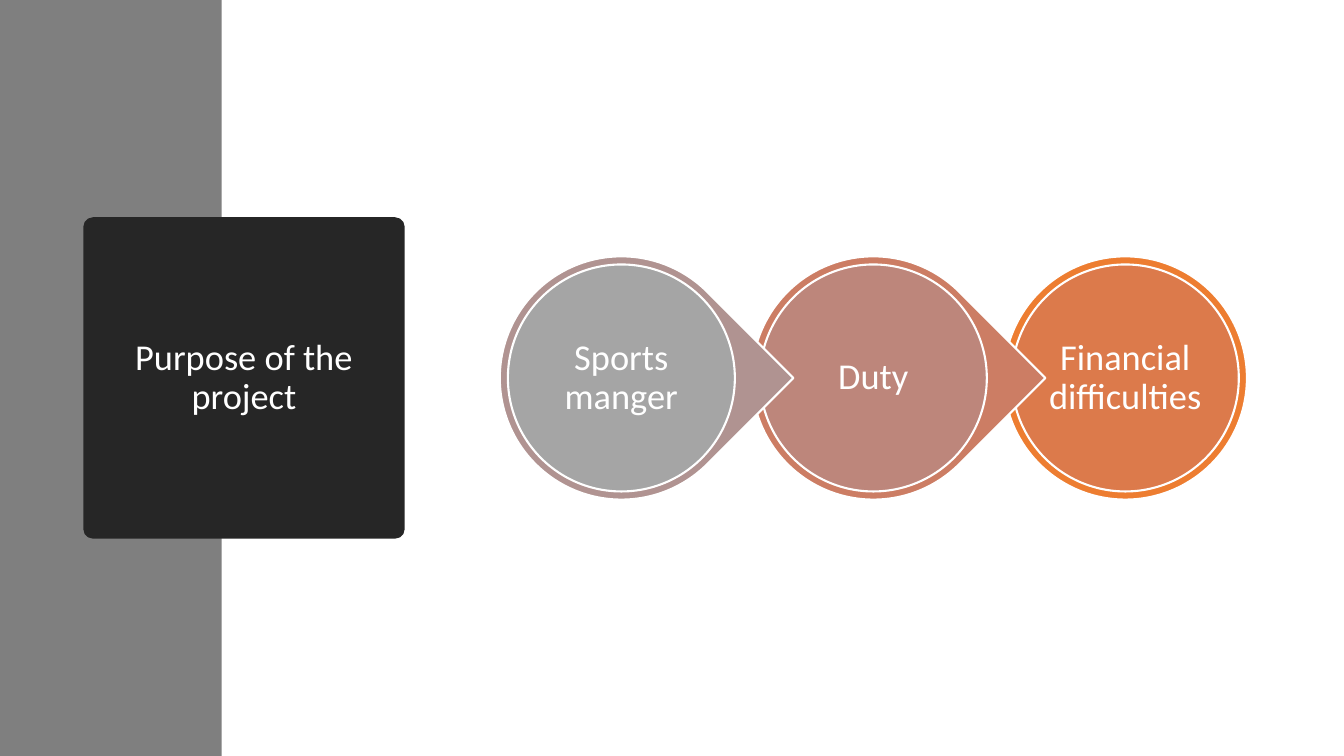
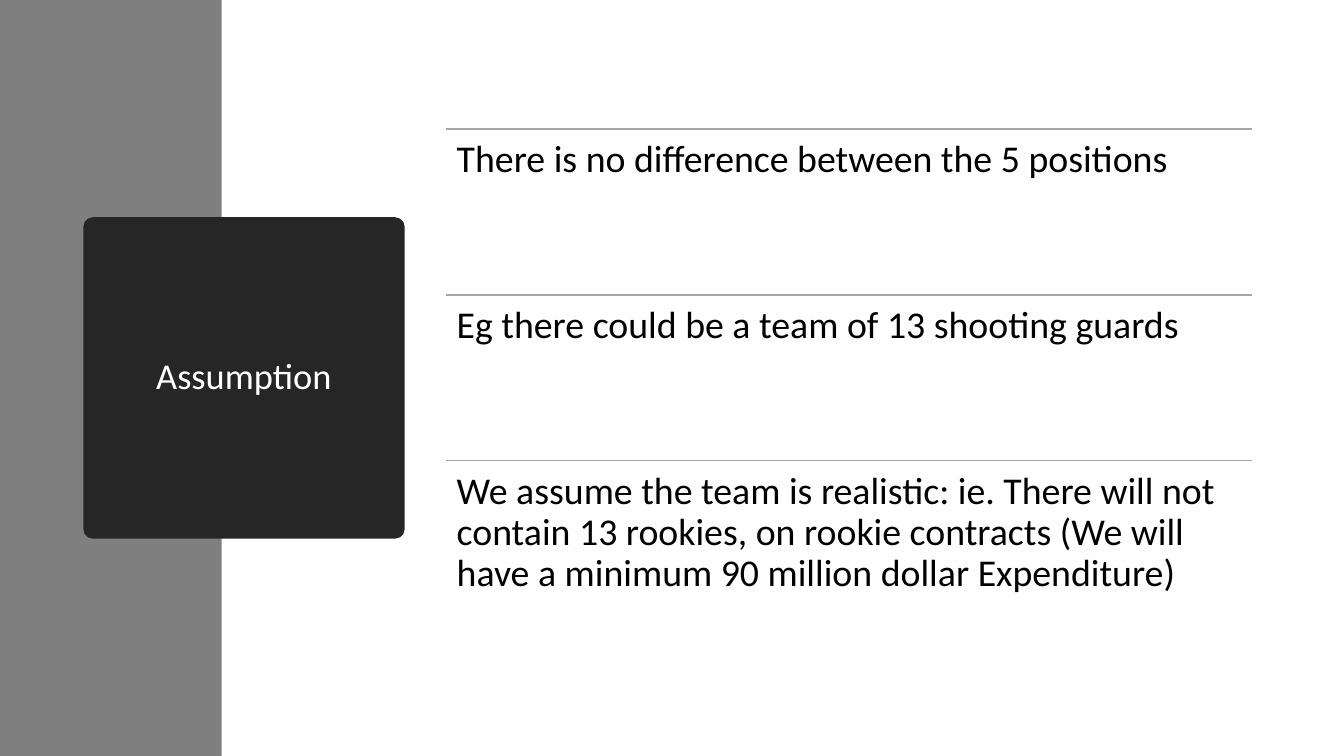
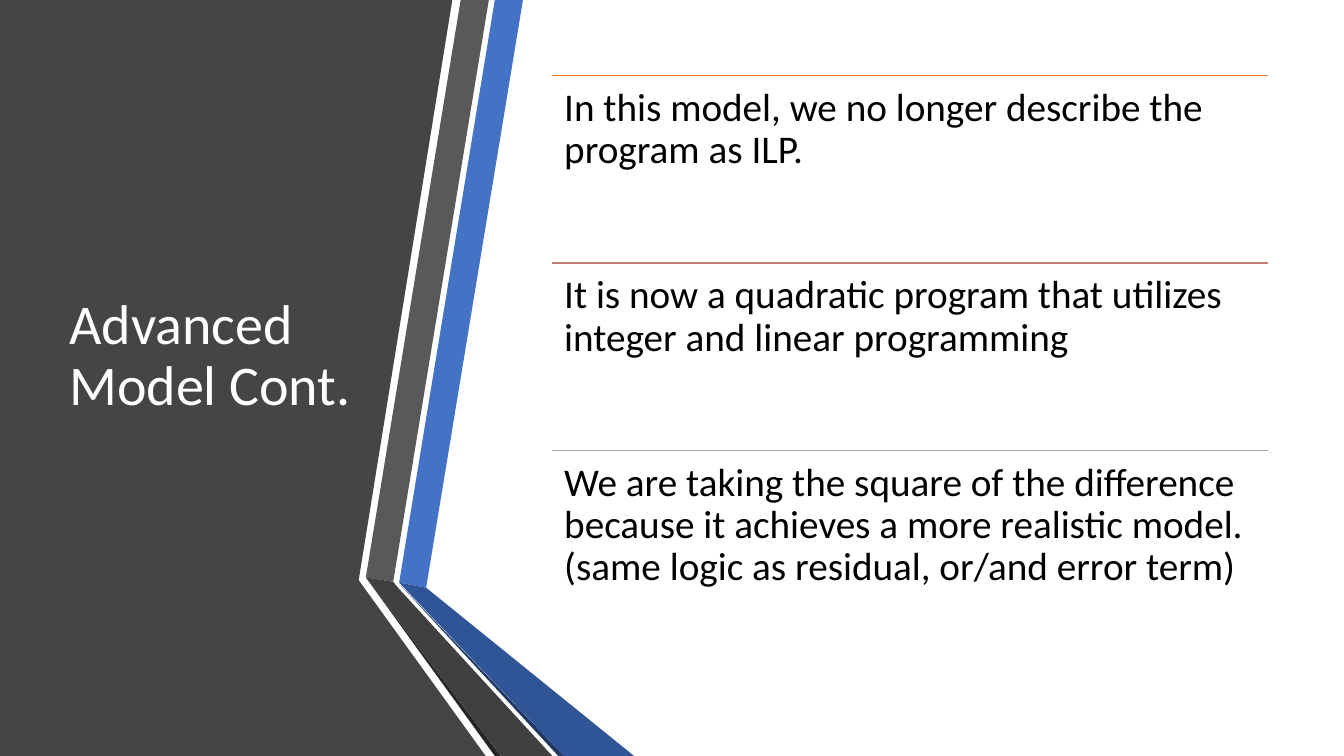
from lxml.etree import SubElement
from pptx import Presentation
from pptx.dml.color import RGBColor
from pptx.enum.shapes import MSO_CONNECTOR, MSO_SHAPE
from pptx.enum.text import MSO_ANCHOR, PP_ALIGN
from pptx.oxml.ns import qn
from pptx.util import Cm, Pt

WHITE = RGBColor(0xFF, 0xFF, 0xFF)
BLACK = RGBColor(0x00, 0x00, 0x00)
BAND_GRAY = RGBColor(0x7F, 0x7F, 0x7F)
TITLE_DARK = RGBColor(0x26, 0x26, 0x26)
SILVER = RGBColor(0xA5, 0xA5, 0xA5)
ORANGE = RGBColor(0xED, 0x7D, 0x31)
BURNT_ORANGE = RGBColor(0xDC, 0x7A, 0x4B)
TERRACOTTA = RGBColor(0xCC, 0x7D, 0x64)
ROSE = RGBColor(0xBD, 0x86, 0x7B)
MAUVE = RGBColor(0xB0, 0x93, 0x91)
CLAY = RGBColor(0xC4, 0x81, 0x70)
PANEL_GRAY = RGBColor(0x45, 0x45, 0x45)
STRIPE_GRAY = RGBColor(0x59, 0x59, 0x59)
CHARCOAL = RGBColor(0x40, 0x40, 0x40)
BLUE = RGBColor(0x44, 0x72, 0xC4)
DARK_BLUE = RGBColor(0x2F, 0x55, 0x97)
NAVY = RGBColor(0x20, 0x38, 0x64)

FONT = "Calibri"
WIDTH, HEIGHT = 33.87, 19.05


def paint(shape, fill, outline=None):
    """Give a shape a flat fill and an optional outline."""
    shape.shadow.inherit = False
    shape.fill.solid()
    shape.fill.fore_color.rgb = fill
    if outline is None:
        shape.line.fill.background()
    else:
        shape.line.color.rgb = outline
        shape.line.width = Pt(1.5)


def write(box, text, size=26, color=WHITE, align=PP_ALIGN.CENTER,
          anchor=MSO_ANCHOR.MIDDLE, inset=0.25):
    """Put one formatted paragraph into a box."""
    frame = box.text_frame
    frame.word_wrap = True
    frame.vertical_anchor = anchor
    frame.margin_left = frame.margin_right = Cm(inset)
    frame.margin_top = frame.margin_bottom = Cm(inset)
    para = frame.paragraphs[0]
    para.alignment = align
    para.line_spacing = 0.9
    span = para.add_run()
    span.text = text
    span.font.name = FONT
    span.font.size = Pt(size)
    span.font.color.rgb = color


deck = Presentation()
deck.slide_width, deck.slide_height = Cm(WIDTH), Cm(HEIGHT)
purpose, assumption, model = [
    deck.slides.add_slide(deck.slide_layouts[6]) for _ in range(3)]

# Gray band and dark title box
TITLE_SIDE = 8.1
for page, title in ((purpose, "Purpose of the project"),
                    (assumption, "Assumption")):
    band = page.shapes.add_shape(
        MSO_SHAPE.RECTANGLE, 0, 0, Cm(5.59), Cm(HEIGHT))
    paint(band, BAND_GRAY)
    title_box = page.shapes.add_shape(
        MSO_SHAPE.ROUNDED_RECTANGLE, Cm(2.1), Cm((HEIGHT - TITLE_SIDE) / 2),
        Cm(TITLE_SIDE), Cm(TITLE_SIDE))
    title_box.adjustments[0] = 0.03
    paint(title_box, TITLE_DARK)
    write(title_box, title, inset=0.8)

# Chain of circles, drawn from the right so each point overlaps the next
OUTER, INNER = 6.13, 5.72
FIRST_CENTER, CENTER_STEP = 15.66, 6.35
steps = [
    ("Sports manger", MSO_SHAPE.TEAR, MAUVE, SILVER),
    ("Duty", MSO_SHAPE.TEAR, TERRACOTTA, ROSE),
    ("Financial difficulties", MSO_SHAPE.OVAL, ORANGE, BURNT_ORANGE),
]
for index, (label, ring_kind, ring_color, disc_color) in reversed(
        list(enumerate(steps))):
    center = FIRST_CENTER + index * CENTER_STEP
    for kind, side, color in ((ring_kind, OUTER, ring_color),
                              (MSO_SHAPE.OVAL, INNER, disc_color)):
        circle = purpose.shapes.add_shape(
            kind, Cm(center - side / 2), Cm((HEIGHT - side) / 2),
            Cm(side), Cm(side))
        paint(circle, color, outline=WHITE)
        if kind == MSO_SHAPE.TEAR:
            circle.rotation = 45
    write(circle, label, inset=0)

# Folded side panel, points in centimetres
panel_parts = [
    (PANEL_GRAY, [(0, 0), (11.4, 0), (9.04, 14.62), (12.24, HEIGHT),
                  (0, HEIGHT)]),
    (BLUE, [(10.06, 14.68), (10.74, 14.81), (13.18, 0), (12.47, 0)]),
    (STRIPE_GRAY, [(12.32, 0), (11.61, 0), (9.22, 14.55), (9.91, 14.66)]),
    (TITLE_DARK, [(9.22, 14.55), (12.47, HEIGHT), (12.62, HEIGHT)]),
    (NAVY, [(10.06, 14.71), (14.07, HEIGHT), (14.22, HEIGHT)]),
    (DARK_BLUE, [(10.06, 14.68), (14.22, HEIGHT), (15.98, HEIGHT),
                 (10.74, 14.81)]),
    (CHARCOAL, [(13.92, HEIGHT), (10.03, 14.81), (9.91, 14.66),
                (9.22, 14.55), (12.62, HEIGHT)]),
]
for color, points in panel_parts:
    start, *others = [(x * 100, y * 100) for x, y in points]
    builder = model.shapes.build_freeform(*start, scale=Cm(0.01))
    builder.add_line_segments(others, close=True)
    paint(builder.convert_to_shape(), color)

model_title = model.shapes.add_textbox(Cm(1.5), Cm(1.91), Cm(7.72), Cm(14.17))
write(model_title, "Advanced Model Cont.", size=40, align=PP_ALIGN.LEFT)

# Ruled rows of text: page, left, top, width, row height, size, inset, rows
ruled_lists = [
    (assumption, 11.23, 3.25, 20.32, 4.18, 27, 0.28, [
        (SILVER, "There is no difference between the 5 positions"),
        (SILVER, "Eg there could be a team of 13 shooting guards"),
        (SILVER, "We assume the team is realistic: ie. There will not "
                 "contain 13 rookies, on rookie contracts (We will have a "
                 "minimum 90 million dollar Expenditure)"),
    ]),
    (model, 13.92, 1.91, 18.03, 4.72, 28, 0.3, [
        (ORANGE, "In this model, we no longer describe the program as ILP."),
        (CLAY, "It is now a quadratic program that utilizes integer and "
               "linear programming"),
        (SILVER, "We are taking the square of the difference because it "
                 "achieves a more realistic model. (same logic as residual, "
                 "or/and error term)"),
    ]),
]
for page, left, top, width, row_height, size, inset, rows in ruled_lists:
    for index, (color, text) in enumerate(rows):
        row_top = Cm(top + index * row_height)
        rule = page.shapes.add_connector(
            MSO_CONNECTOR.STRAIGHT, Cm(left), row_top, Cm(left + width),
            row_top)
        rule.line.color.rgb = color
        rule.line.width = Pt(1)
        SubElement(rule.element.spPr, qn("a:effectLst"))
        row_box = page.shapes.add_textbox(
            Cm(left), row_top, Cm(width), Cm(row_height))
        write(row_box, text, size=size, color=BLACK, align=PP_ALIGN.LEFT,
              anchor=MSO_ANCHOR.TOP, inset=inset)

deck.save("out.pptx")
